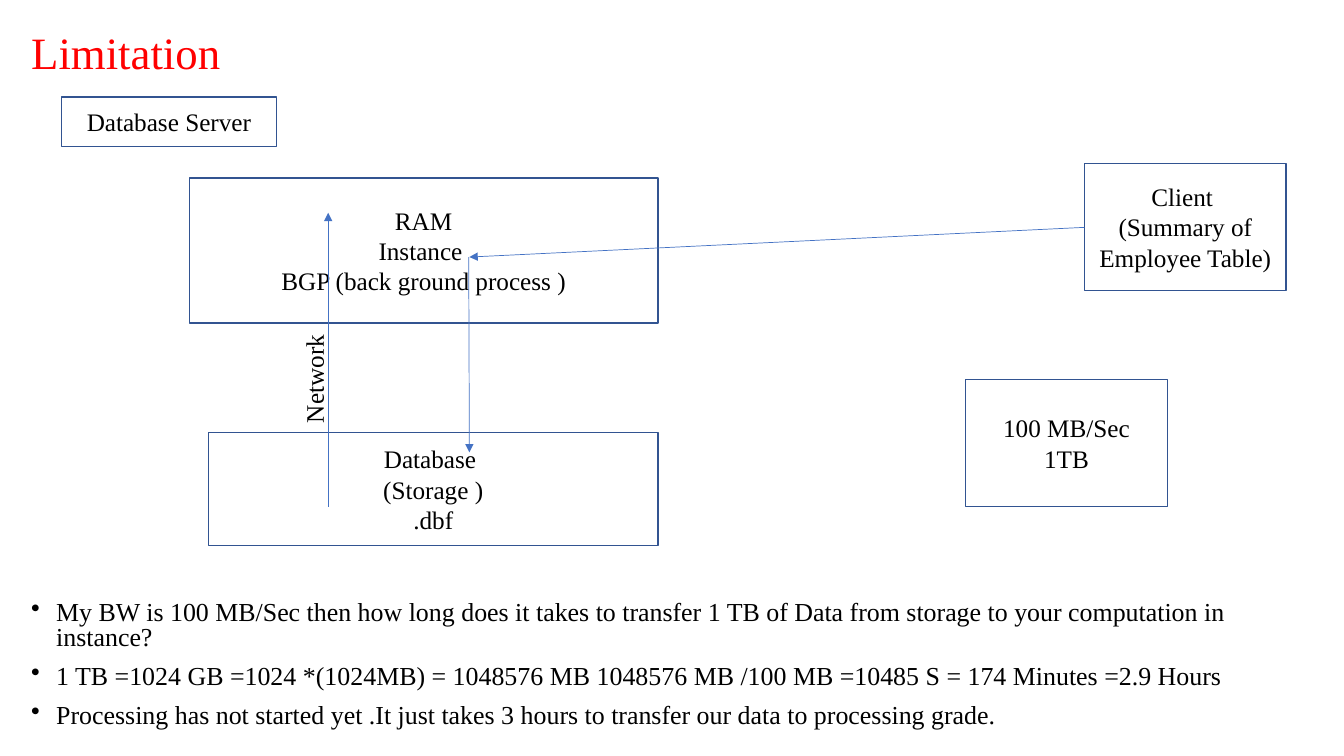
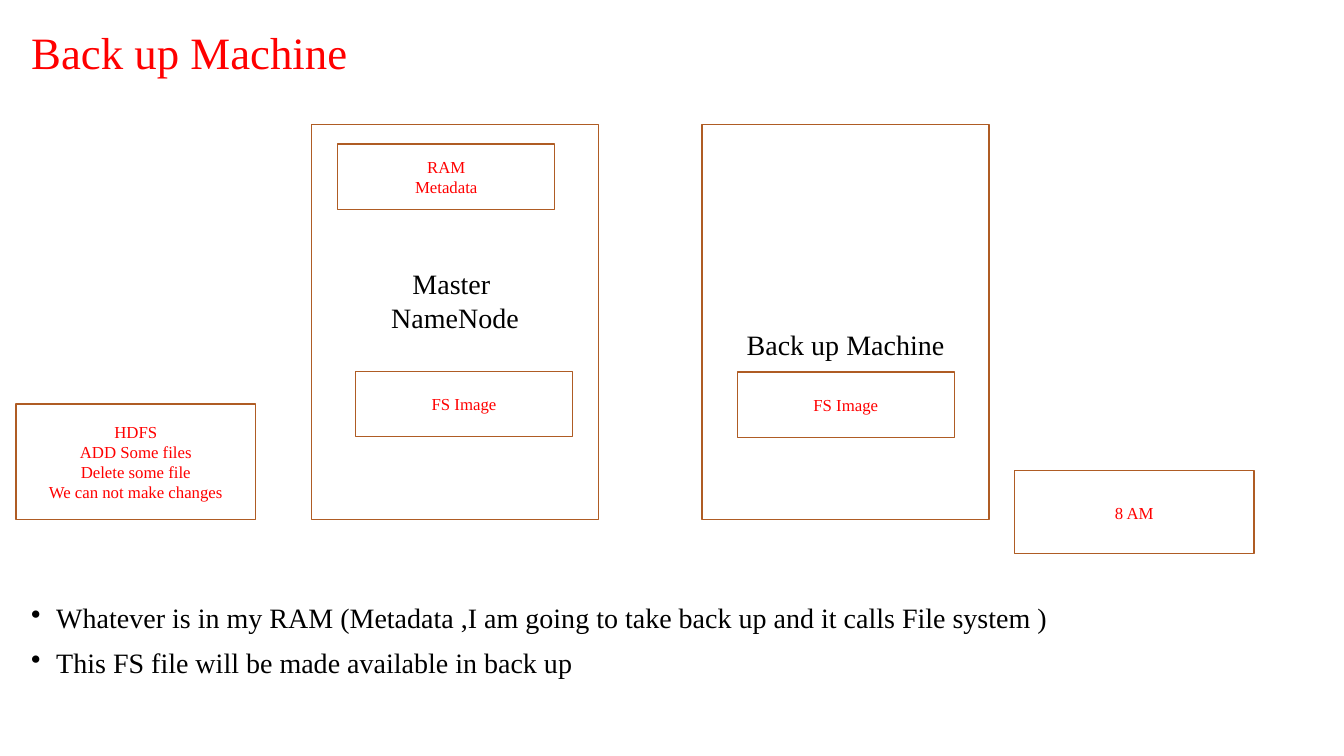
from lxml import etree
from pptx import Presentation
from pptx.dml.color import RGBColor
from pptx.enum.shapes import MSO_CONNECTOR, MSO_SHAPE
from pptx.enum.text import MSO_ANCHOR, MSO_AUTO_SIZE, PP_ALIGN
from pptx.oxml.ns import qn
from pptx.util import Pt

RECTANGLE = MSO_SHAPE.RECTANGLE
STRAIGHT = MSO_CONNECTOR.STRAIGHT
MIDDLE = MSO_ANCHOR.MIDDLE
TOP = MSO_ANCHOR.TOP
NO_AUTOFIT = MSO_AUTO_SIZE.NONE
LEFT = PP_ALIGN.LEFT
CENTER = PP_ALIGN.CENTER

RED = RGBColor(0xFF, 0x00, 0x00)
BLACK = RGBColor(0x00, 0x00, 0x00)
WHITE = RGBColor(0xFF, 0xFF, 0xFF)
NAVY = RGBColor(0x32, 0x54, 0x91)
BLUE = RGBColor(0x44, 0x72, 0xC4)
BROWN = RGBColor(0xAF, 0x5C, 0x24)

FONT = "Times New Roman"
MARGIN = 15.1
CONTENT_WIDTH = 924.5
CONTENT_BOTTOM = 530


def write_lines(frame, lines, size, color, bullets=False, **paragraph_format):
    for index, line in enumerate(lines):
        para = frame.paragraphs[0] if index == 0 else frame.add_paragraph()
        for name, value in paragraph_format.items():
            setattr(para, name, value)
        if bullets:
            para.space_before = Pt(10 if index else 0)
            properties = para._p.get_or_add_pPr()
            properties.set("marL", str(Pt(18)))
            properties.set("indent", str(Pt(-18)))
            etree.SubElement(properties, qn("a:buChar")).set("char", "•")
        span = para.add_run()
        span.text = line
        font_format = {"name": FONT, "size": Pt(size)}
        for name, value in font_format.items():
            setattr(span.font, name, value)
        span.font.color.rgb = color


def add_box(page, bounds, lines, size, color, outline, insets):
    box = page.shapes.add_shape(RECTANGLE, *map(Pt, bounds))
    box.shadow.inherit = False
    box.fill.solid()
    box.fill.fore_color.rgb = WHITE
    box.line.color.rgb = outline
    box.line.width = Pt(1)
    frame = box.text_frame
    frame_format = {
        "word_wrap": True,
        "vertical_anchor": MIDDLE,
        "margin_top": Pt(insets[0]),
        "margin_bottom": Pt(insets[1]),
    }
    for name, value in frame_format.items():
        setattr(frame, name, value)
    write_lines(frame, lines, size, color, alignment=CENTER)


EVEN = (3.6, 3.6)
RAISED = (3.6, 34)
LOWERED = (36, 3.6)

PAGES = [
    {
        "title": "Limitation",
        "outline": NAVY,
        "bullet_top": 426.4,
        "bullet_size": 18.5,
        "bullet_spacing": 0.8,
        "bullets": [
            "My BW is 100 MB/Sec then how long does it takes to transfer 1 TB of Data "
            "from storage to your computation in instance?",
            "1 TB =1024 GB =1024 *(1024MB) = 1048576 MB 1048576 MB /100 MB "
            "=10485 S = 174 Minutes =2.9 Hours",
            "Processing has not started yet .It just takes 3 hours to transfer our data "
            "to processing grade.",
        ],
        "boxes": [
            ((44, 69.4, 153.4, 35.3), ["Database Server"], 18, BLACK, EVEN),
            ((149, 309, 321, 80.6), ["Database ", "(Storage )", ".dbf"], 18, BLACK, EVEN),
            ((135.2, 127.2, 334.8, 103.5),
             ["RAM", "Instance ", "BGP (back ground process )"], 18, BLACK, EVEN),
            ((774.7, 116.7, 144, 90.7),
             ["Client ", "(Summary of Employee Table)"], 18, BLACK, EVEN),
            ((689.8, 271.1, 144, 90.7), ["100 MB/Sec", "1TB"], 18, BLACK, EVEN),
        ],
        "arrows": [
            (774.7, 162.4, 335.3, 183.6),
            (334.8, 183.6, 335.3, 323.2),
            (234.4, 362, 234.4, 152),
        ],
        "side_labels": [((185, 255.6, 78.5, 28.8), "Network")],
    },
    {
        "title": "Back up Machine",
        "outline": BROWN,
        "bullet_top": 428.4,
        "bullet_size": 20,
        "bullet_spacing": 0.9,
        "bullets": [
            "Whatever is in my RAM (Metadata ,I am going to take back up and it calls "
            "File system )",
            "This FS file will be made available in back up",
        ],
        "boxes": [
            ((222.5, 88.8, 205, 282.2), ["Master ", "NameNode"], 20, BLACK, RAISED),
            ((241.3, 102.8, 155, 46.8), ["RAM", "Metadata"], 12, RED, EVEN),
            ((501.5, 88.8, 205, 282.2), ["Back up Machine"], 20, BLACK, LOWERED),
            ((11.5, 288.5, 171, 82.5),
             ["HDFS", "ADD Some files", "Delete some file", "We can not make changes"],
             12, RED, EVEN),
            ((724.7, 336.3, 171, 59.3), ["8 AM"], 12, RED, EVEN),
            ((254, 265.2, 155, 46.8), ["FS Image"], 12, RED, EVEN),
            ((526.7, 265.6, 155, 46.8), ["FS Image"], 12, RED, EVEN),
        ],
        "arrows": [],
        "side_labels": [],
    },
]

deck = Presentation()
deck.slide_width = Pt(960)
deck.slide_height = Pt(540)
title_only = deck.slide_layouts[5]

for content in PAGES:
    page = deck.slides.add_slide(title_only)

    title = page.shapes.title
    title.left, title.top = Pt(MARGIN), Pt(10)
    title.width, title.height = Pt(CONTENT_WIDTH), Pt(59)
    title.text_frame.auto_size = NO_AUTOFIT
    title.text_frame.vertical_anchor = MIDDLE
    write_lines(title.text_frame, [content["title"]], 32, RED,
                alignment=LEFT, line_spacing=0.9)

    bullet_top = content["bullet_top"]
    bullet_box = page.shapes.add_textbox(
        Pt(MARGIN), Pt(bullet_top), Pt(CONTENT_WIDTH), Pt(CONTENT_BOTTOM - bullet_top))
    bullet_box.text_frame.word_wrap = True
    bullet_box.text_frame.vertical_anchor = TOP
    write_lines(bullet_box.text_frame, content["bullets"], content["bullet_size"], BLACK,
                bullets=True, line_spacing=content["bullet_spacing"])

    for bounds, lines, size, color, insets in content["boxes"]:
        add_box(page, bounds, lines, size, color, content["outline"], insets)

    for ends in content["arrows"]:
        arrow = page.shapes.add_connector(STRAIGHT, *map(Pt, ends))
        arrow.line.color.rgb = BLUE
        arrow.line.width = Pt(0.5)
        etree.SubElement(arrow.line._get_or_add_ln(), qn("a:tailEnd")).set("type", "triangle")
        etree.SubElement(arrow._element.spPr, qn("a:effectLst"))

    for bounds, text in content["side_labels"]:
        label = page.shapes.add_textbox(*map(Pt, bounds))
        label.rotation = 270
        label.text_frame.word_wrap = False
        write_lines(label.text_frame, [text], 18, BLACK)

deck.save("out.pptx")
